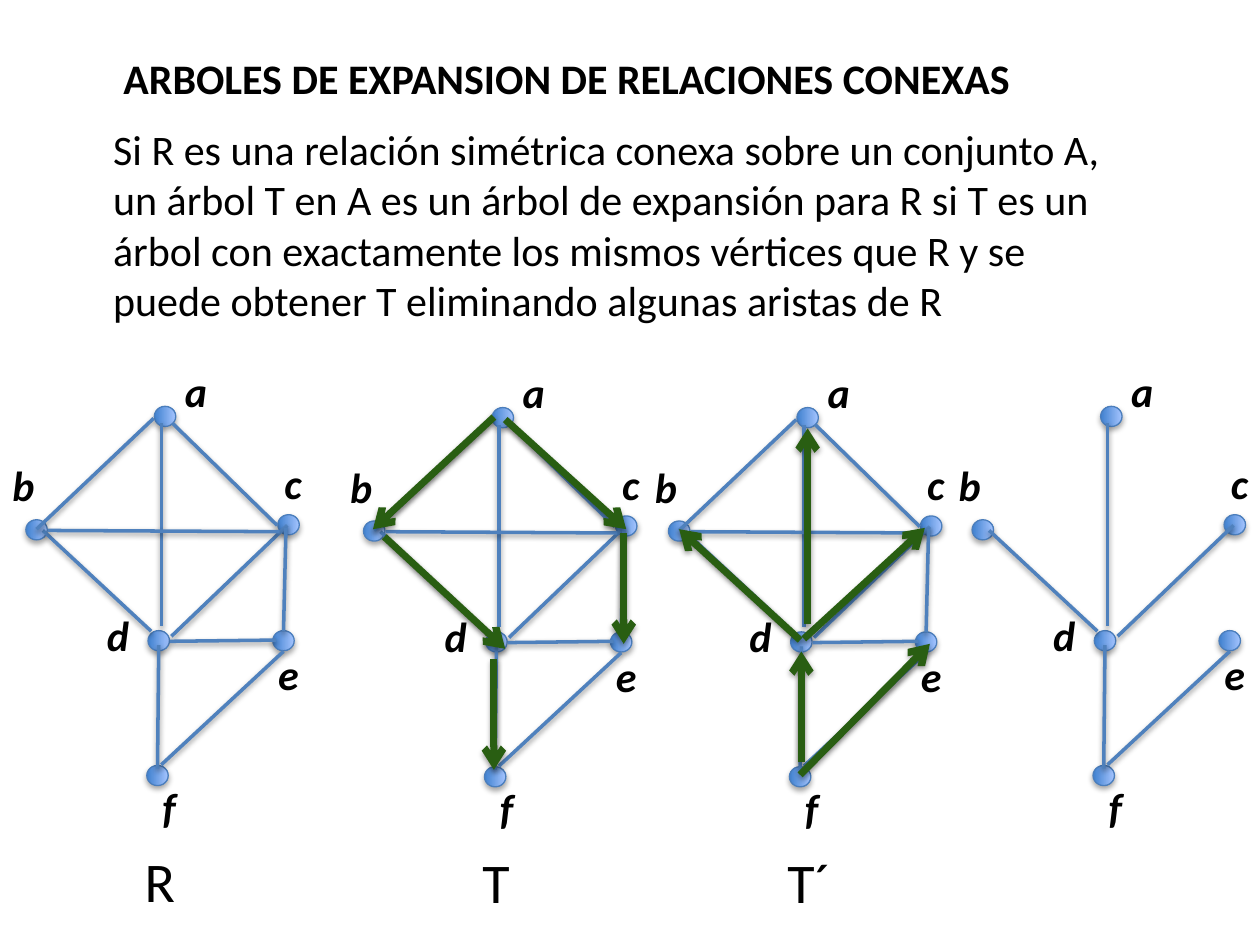
"""Build the slide on spanning trees of connected relations."""
from dataclasses import dataclass, field

from lxml import etree
from pptx import Presentation
from pptx.dml.color import RGBColor
from pptx.enum.shapes import MSO_CONNECTOR as Connector, MSO_SHAPE as Shape
from pptx.enum.text import MSO_ANCHOR as Anchor, MSO_AUTO_SIZE as AutoSize, PP_ALIGN as Align
from pptx.oxml.ns import qn
from pptx.util import Inches, Pt

HEADING = "ARBOLES DE EXPANSION DE RELACIONES CONEXAS"
DEFINITION = (
    "Si R es una relación simétrica conexa sobre un conjunto A, un árbol T en A "
    "es un árbol de expansión para R si T es un árbol con exactamente los mismos "
    "vértices que R y se puede obtener T eliminando algunas aristas de R"
)
BLACK, EDGE_BLUE, ARROW_GREEN = "000000", "4F81BD", "295E12"
VERTEX_SHADES, VERTEX_OUTLINE = ("3F80CE", "A4C4FF"), "4B7EBC"
VERTEX_SIZE, LETTER_SIZE, NAME_SIZE = (0.16, 0.17), (0.67, 0.5), (0.65, 0.64)
NAME_PLACE = (1.05, 6.67)

VERTICES = {
    "a": (1.23, 3.22), "b": (0.21, 4.12), "c": (2.21, 4.08),
    "d": (1.18, 5), "e": (2.17, 5), "f": (1.17, 6.07),
}
LETTERS = {
    "a": (1.37, 2.85), "b": (0, 3.6), "c": (2.16, 3.58),
    "d": (0.75, 4.79), "e": (2.11, 5.1), "f": (1.19, 6.15),
}
EDGES = {
    "ad": (1.28, 3.36, 1.28, 4.97), "df": (1.26, 5.12, 1.25, 6.1),
    "ac": (1.37, 3.36, 2.2, 4.17), "bd": (0.34, 4.21, 1.2, 5.01),
    "dc": (1.36, 5.05, 2.28, 4.17), "ba": (0.29, 4.2, 1.22, 3.32),
    "fe": (1.28, 6.07, 2.25, 5.17), "bc": (0.38, 4.21, 2.22, 4.22),
    "ce": (2.27, 4.19, 2.25, 5.01), "de": (1.35, 5.09, 2.19, 5.08),
}
T_ARROWS = {
    "ab": (1.24, 3.3, 0.28, 4.19), "ac": (1.33, 3.32, 2.29, 4.19),
    "ce": (2.27, 4.22, 2.27, 5.1), "bd": (0.37, 4.25, 1.33, 5.14),
    "df": (1.24, 5.22, 1.24, 6.1),
}
T_PRIME_ARROWS = {
    "dc": (1.28, 5.06, 2.24, 4.18), "da": (1.31, 4.94, 1.31, 3.39),
    "db": (1.25, 5.07, 0.29, 4.19), "fd": (1.26, 6.04, 1.26, 5.16),
    "fe": (1.25, 6.14, 2.28, 5.1),
}


@dataclass
class Graph:
    """One graph: its offset from R, its name, its edges and its tree arrows."""

    origin: tuple
    name: str = ""
    edges: tuple = tuple(EDGES)
    arrows: dict = field(default_factory=dict)


GRAPHS = (
    Graph((0, 0), "R"),
    Graph((2.68, 0.01), "T", arrows=T_ARROWS),
    Graph((5.1, 0.01), "T´", arrows=T_PRIME_ARROWS),
    Graph((7.51, 0), edges=("ad", "df", "bd", "dc", "fe")),
)


def color(hex_code):
    """Turn a hex string into a colour."""
    return RGBColor.from_string(hex_code)


def shift(coordinates, origin):
    """Move a flat run of x, y values by the origin of a graph."""
    return [Inches(value + origin[i % 2]) for i, value in enumerate(coordinates)]


def set_outline(line, shade, width):
    """Set the colour and width of a line."""
    line.color.rgb = color(shade)
    line.width = Pt(width)


def add_shadow(element, distance, opacity):
    """Give a finished shape or connector a soft shadow straight below it."""
    effects = etree.SubElement(element._element.spPr, qn("a:effectLst"))
    shadow = etree.SubElement(effects, qn("a:outerShdw"), blurRad="40000",
                              dist=str(distance), dir="5400000", rotWithShape="0")
    shade = etree.SubElement(shadow, qn("a:srgbClr"), val=BLACK)
    etree.SubElement(shade, qn("a:alpha"), val=str(opacity * 1000))


def write(box, text, size=24, bold=False, italic=False):
    """Put formatted text in a box that grows with it."""
    frame = box.text_frame
    frame.word_wrap = True
    frame.auto_size = AutoSize.SHAPE_TO_FIT_TEXT
    frame.vertical_anchor = Anchor.TOP
    paragraph = frame.paragraphs[0]
    paragraph.alignment = Align.LEFT
    run = paragraph.add_run()
    run.text = text
    font = run.font
    font.name, font.size, font.bold, font.italic = "Calibri", Pt(size), bold, italic
    font.color.rgb = color(BLACK)


def add_heading(slide, place, extent, text):
    """Move the title placeholder and write the heading in it."""
    heading = slide.shapes.title
    heading.left, heading.top = map(Inches, place)
    heading.width, heading.height = map(Inches, extent)
    write(heading, text, bold=True)


def add_text(slide, place, extent, text, origin=(0, 0), **style):
    """Add a text box."""
    box = slide.shapes.add_textbox(*shift(place, origin), *map(Inches, extent))
    write(box, text, **style)


def add_vertex(slide, place, origin):
    """Add one vertex, shaded from left to right by its quarter turn."""
    vertex = slide.shapes.add_shape(Shape.OVAL, *shift(place, origin), *map(Inches, VERTEX_SIZE))
    vertex.rotation = 90
    vertex.fill.gradient()
    vertex.fill.gradient_angle = 90
    for position, (stop, shade) in enumerate(zip(vertex.fill.gradient_stops, VERTEX_SHADES)):
        stop.position = position
        stop.color.rgb = color(shade)
    set_outline(vertex.line, VERTEX_OUTLINE, 0.75)
    add_shadow(vertex, distance=23000, opacity=35)


def add_edge(slide, ends, origin, directed=False):
    """Add a thin edge, or a thick arrow if it is directed."""
    edge = slide.shapes.add_connector(Connector.STRAIGHT, *shift(ends, origin))
    if directed:
        set_outline(edge.line, ARROW_GREEN, 4)
        outline = edge._element.spPr.find(qn("a:ln"))
        etree.SubElement(outline, qn("a:tailEnd"), type="arrow")
    else:
        set_outline(edge.line, EDGE_BLUE, 2)
    add_shadow(edge, distance=20000, opacity=38)


def add_graph(slide, graph):
    """Add a graph with its vertices, edges, arrows, letters and name."""
    for place in VERTICES.values():
        add_vertex(slide, place, graph.origin)
    for pair in graph.edges:
        add_edge(slide, EDGES[pair], graph.origin)
    for ends in graph.arrows.values():
        add_edge(slide, ends, graph.origin, directed=True)
    for letter, place in LETTERS.items():
        add_text(slide, place, LETTER_SIZE, letter, graph.origin, bold=True, italic=True)
    if graph.name:
        add_text(slide, NAME_PLACE, NAME_SIZE, graph.name, graph.origin, size=32)


def main():
    """Build and save the slide."""
    deck = Presentation()
    deck.slide_width, deck.slide_height = Inches(10), Inches(7.5)
    slide = deck.slides.add_slide(deck.slide_layouts[5])
    add_heading(slide, (0.88, 0.37), (8.18, 0.5), HEADING)
    add_text(slide, (0.8, 0.93), (8.27, 1.72), DEFINITION)
    for graph in GRAPHS:
        add_graph(slide, graph)
    deck.save("out.pptx")


if __name__ == "__main__":
    main()
